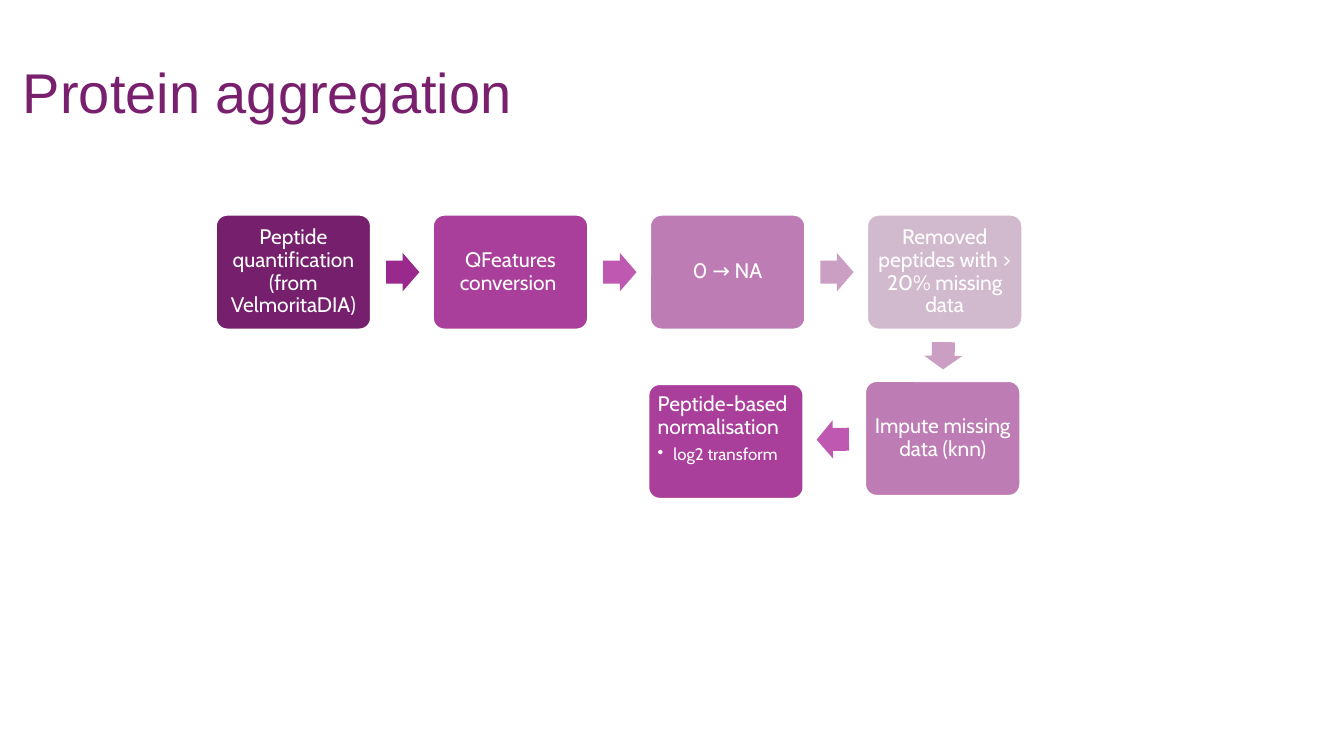
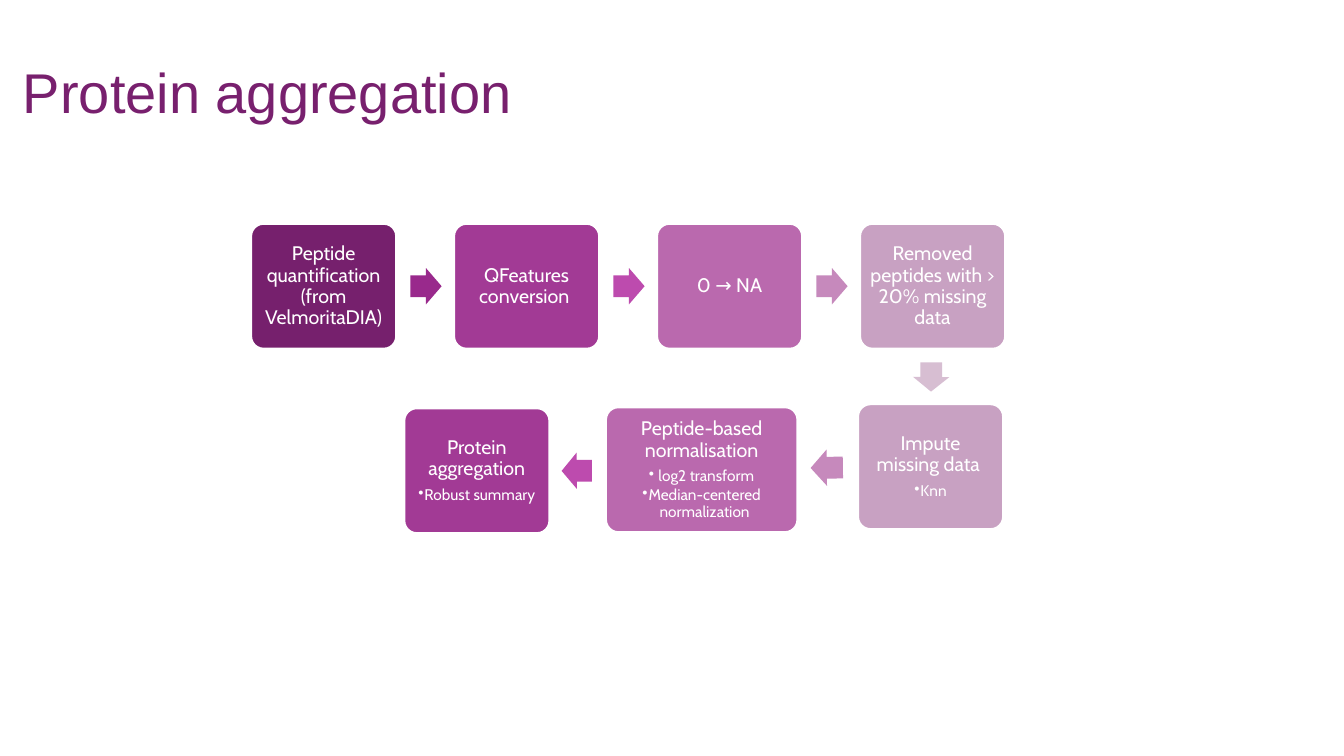
"""Build two slides that show the protein aggregation workflow."""
from lxml.etree import SubElement
from pptx import Presentation
from pptx.dml.color import RGBColor
from pptx.enum.shapes import MSO_SHAPE
from pptx.enum.text import MSO_ANCHOR, PP_ALIGN
from pptx.oxml.ns import qn
from pptx.util import Inches, Pt

HUES = {
    "title": "78206E", "white": "FFFFFF", "plum": "76206D", "grape": "99298C",
    "berry": "A93F9B", "orchid": "BE58B0", "mauve": "BE7CB4",
    "lilac": "CB9FC4", "mist": "D2BACE",
    "wine": "A23A95", "pink": "BD4BAE", "rose": "BA69AE",
    "dusk": "C689BC", "haze": "C8A1C2", "pale": "D7BED2",
}
TITLE = "Protein aggregation"
STEPS = ["Peptide quantification (from VelmoritaDIA)", "QFeatures conversion ",
         "0 → NA", "Removed peptides with > 20% missing data"]
MID = {"anchor": MSO_ANCHOR.MIDDLE, "align": PP_ALIGN.CENTER, "indent": 0.06}
TOP = {"anchor": MSO_ANCHOR.TOP, "align": PP_ALIGN.LEFT, "indent": 0.12}

FLOWS = [
    {
        "first": 2.14, "last": 8.6, "top": 2.13, "box": (1.54, 1.14),
        "size": 15, "small": 12,
        "fills": ["plum", "berry", "mauve", "mist"],
        "heads": ["grape", "orchid", "lilac"],
        "shift": (1.69, 0.38), "head": (0.33, 0.38),
        "back": [
            (8.58, 3.78, 1.54, "mauve", ["Impute missing data (knn)"], MID),
            (6.43, 3.81, 1.54, "berry",
             ["Peptide-based normalisation", " log2 transform"], TOP),
        ],
        "turns": [(9.22, 3.34, 0.27, 90.6, "lilac"),
                  (8.1, 4.17, 0.32, 179.2, "orchid")],
    },
    {
        "first": 2.49, "last": 8.53, "top": 2.22, "box": (1.44, 1.24),
        "size": 14, "small": 11,
        "fills": ["plum", "wine", "rose", "haze"],
        "heads": ["grape", "pink", "dusk"],
        "shift": (1.58, 0.44), "head": (0.31, 0.36),
        "back": [
            (8.51, 4.01, 1.44, "haze", ["Impute missing data ", "Knn"], MID),
            (6.01, 4.04, 1.9, "rose",
             ["Peptide-based normalisation", " log2 transform",
              "Median-centered normalization"], MID),
            (4.01, 4.05, 1.44, "wine",
             ["Protein aggregation", "Robust summary"], MID),
        ],
        "turns": [(9.09, 3.56, 0.29, 90.5, "pale"),
                  (8.04, 4.46, 0.32, 179.2, "dusk"),
                  (5.57, 4.49, 0.3, 179.5, "pink")],
    },
]


def paint(hue):
    return RGBColor.from_string(HUES[hue])


def apply(item, form):
    for key, value in form.items():
        setattr(item, key, value)


def write(para, text, size, face, hue):
    run = para.add_run()
    run.text = text
    apply(run.font, {"size": Pt(size), "name": face})
    run.font.color.rgb = paint(hue)
    para.line_spacing = 0.9


def bullet(para, indent):
    props = para._p.get_or_add_pPr()
    props.set("marL", str(Inches(indent)))
    props.set("indent", str(-Inches(indent)))
    SubElement(props, qn("a:buChar")).set("char", "•")


def add_form(slide, kind, place, hue, adjust):
    form = slide.shapes.add_shape(kind, *map(Inches, place))
    form.shadow.inherit = False
    form.fill.solid()
    form.fill.fore_color.rgb = paint(hue)
    form.line.fill.background()
    for i, value in enumerate(adjust):
        form.adjustments[i] = value
    return form


def add_box(slide, place, hue, lines, style, flow):
    box = add_form(slide, MSO_SHAPE.ROUNDED_RECTANGLE, place, hue, [0.1])
    box.line.color.rgb = paint("white")
    box.line.width = Pt(1.5)
    frame = box.text_frame
    sides = ("left", "right", "top", "bottom")
    apply(frame, {f"margin_{side}": Inches(0.06) for side in sides})
    apply(frame, {"word_wrap": True, "vertical_anchor": style["anchor"]})
    for i, text in enumerate(lines):
        para = frame.add_paragraph() if i else frame.paragraphs[0]
        size = flow["small"] if i else flow["size"]
        write(para, text, size, "Cabin", "white")
        apply(para, {"alignment": style["align"],
                     "space_after": Pt(size * (0.15 if i else 0.35))})
        if i:
            bullet(para, style["indent"])


def add_head(slide, place, hue, turn=0):
    head = add_form(slide, MSO_SHAPE.RIGHT_ARROW, place, hue, [0.6, 0.5])
    head.rotation = turn


def add_title(slide):
    box = slide.shapes.add_textbox(*map(Inches, (0.13, 0.5, 13, 0.8)))
    apply(box.text_frame, {"word_wrap": True,
                           "vertical_anchor": MSO_ANCHOR.BOTTOM})
    write(box.text_frame.paragraphs[0], TITLE, 40, "Arial", "title")


def add_flow(slide, flow):
    wide, high = flow["box"]
    over, down = flow["shift"]
    pitch = (flow["last"] - flow["first"]) / (len(STEPS) - 1)
    for i, (text, hue) in enumerate(zip(STEPS, flow["fills"])):
        left = flow["first"] + i * pitch
        add_box(slide, (left, flow["top"], wide, high), hue, [text], MID, flow)
        if i < len(flow["heads"]):
            add_head(slide, (left + over, flow["top"] + down, *flow["head"]),
                     flow["heads"][i])
    for left, top, width, hue, lines, style in flow["back"]:
        add_box(slide, (left, top, width, high), hue, lines, style, flow)
    for left, top, width, turn, hue in flow["turns"]:
        add_head(slide, (left, top, width, flow["head"][1]), hue, turn)


def main():
    deck = Presentation()
    apply(deck, {"slide_width": Inches(13.33), "slide_height": Inches(7.5)})
    for flow in FLOWS:
        slide = deck.slides.add_slide(deck.slide_layouts[6])
        add_title(slide)
        add_flow(slide, flow)
    deck.save("out.pptx")


if __name__ == "__main__":
    main()
